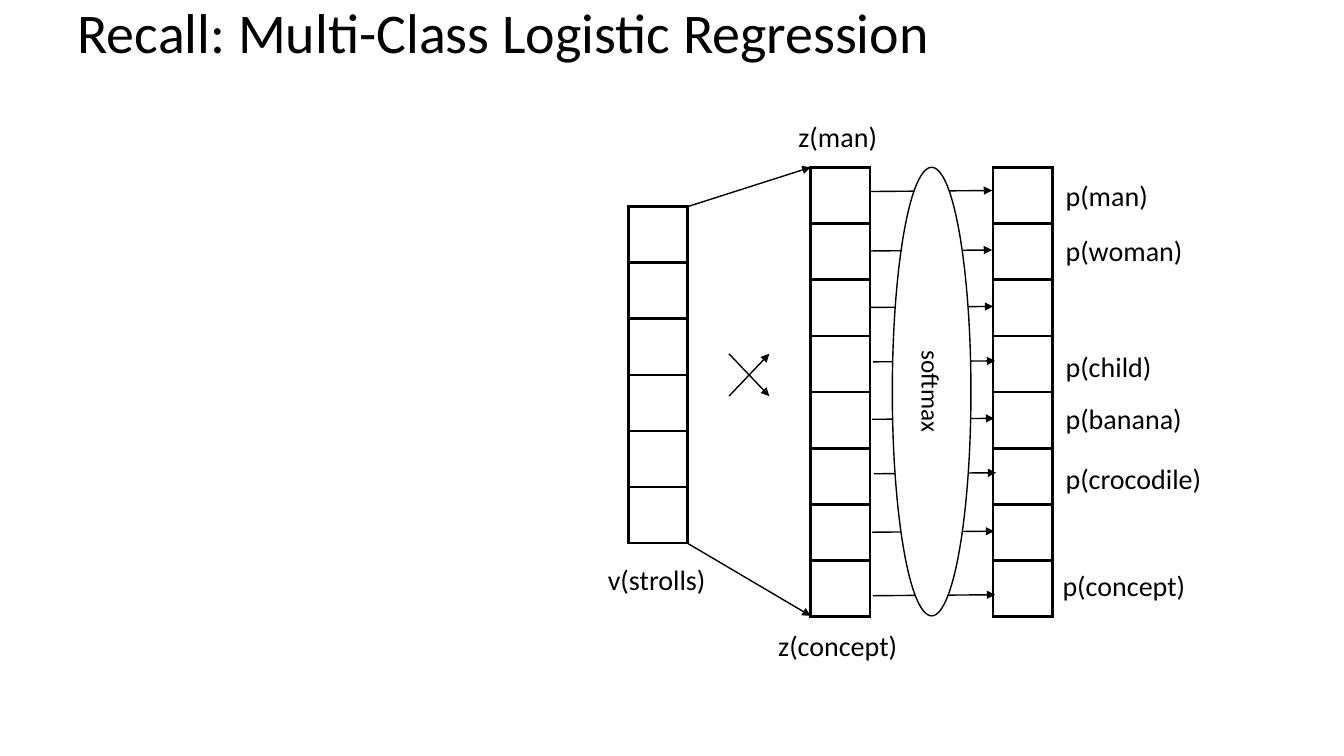
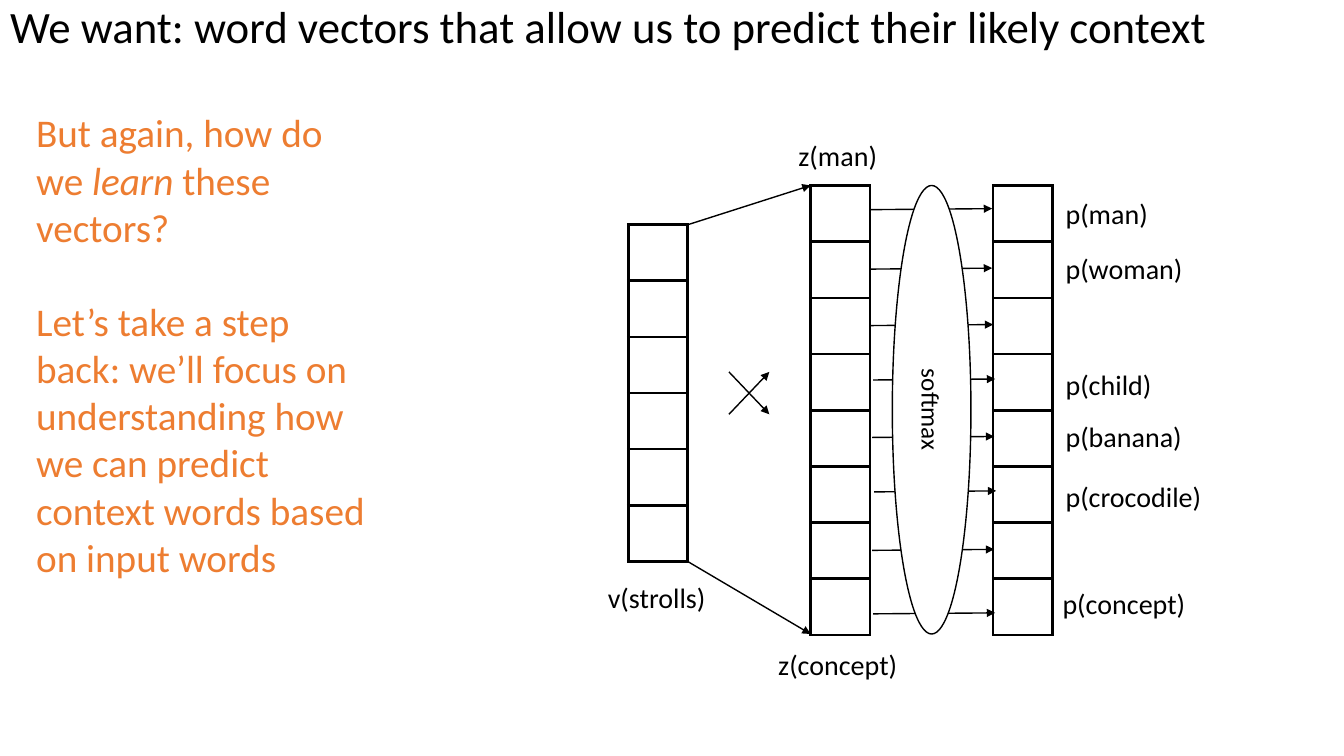
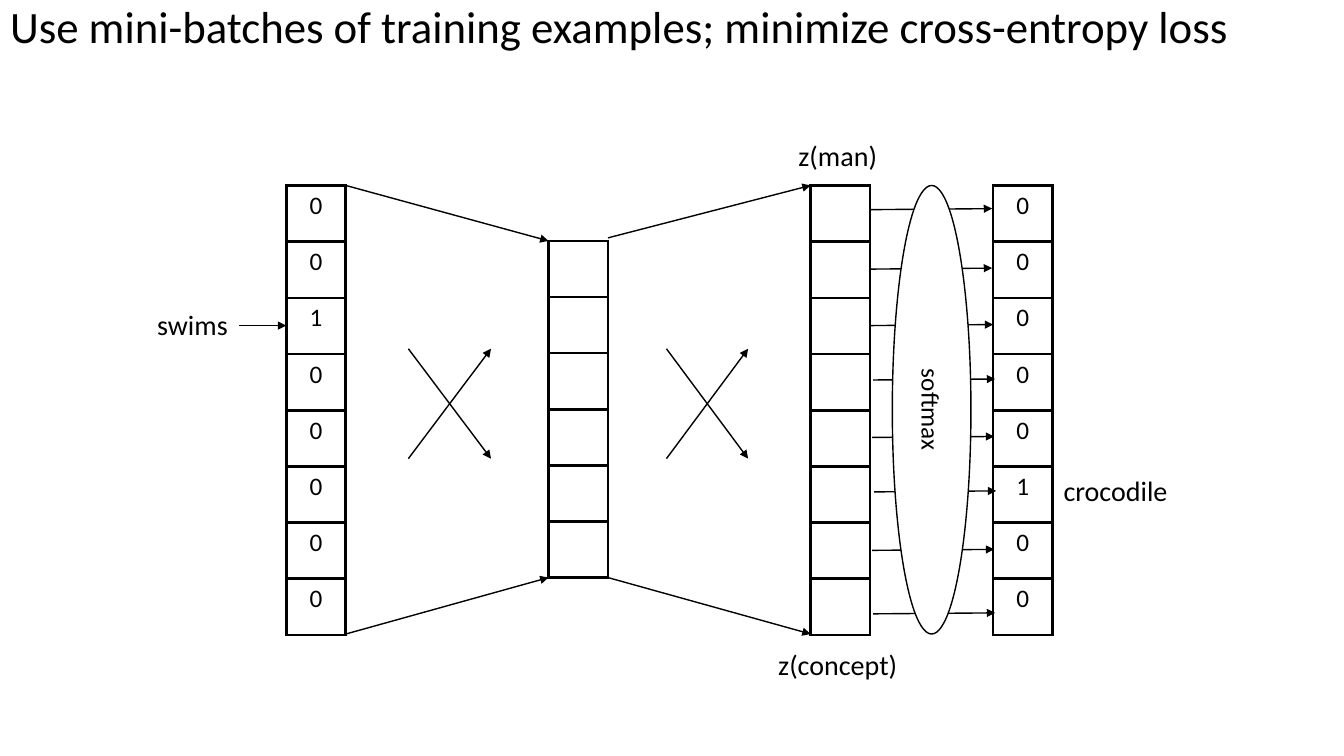
"""Build three slides on predicting context words with a softmax layer."""
import pptx
import pptx.dml.color
import pptx.enum.shapes
import pptx.enum.text
import pptx.oxml.ns
import pptx.util
from lxml import etree

SCALE = 9144
BLACK, WHITE, ORANGE = "000000", "FFFFFF", "ED7D31"
FONT = "Calibri"
ALIGN = pptx.enum.text.PP_ALIGN
ANCHOR = pptx.enum.text.MSO_ANCHOR
AUTO = pptx.enum.text.MSO_AUTO_SIZE

CELL_WIDTH, LABEL_HEIGHT = 59, 44
WORDS, DIMENSIONS = 8, 6
HEIGHTS = {WORDS: 446, DIMENSIONS: 334}
SCORE_LEFT, OUTPUT_LEFT = 804, 985
SOFTMAX_LEFT, SOFTMAX_WIDTH, SOFTMAX_HEIGHT = 885, 78, 445
SOFTMAX_ARROWS = [(863, 23), (863, 82), (864, 138), (866, 192),
                  (865, 249), (867, 303), (865, 361), (866, 424)]
ARROW_LENGTH, ARROW_RISE = 121, 1

SCORE_LABELS = [("z(man)", 782, -52, 99), ("z(concept)", 762, 453, 140)]
PROBABILITY_LABELS = [
    ("p(man)", 1047, 6, 103),
    ("p(woman)", 1047, 61, 137),
    ("p(child)", 1047, 176, 106),
    ("p(banana)", 1047, 227, 137),
    ("p(crocodile)", 1047, 287, 156),
    ("p(concept)", 1044, 393, 143),
]

LOGISTIC = {
    "labels": PROBABILITY_LABELS + [("v(strolls)", 593, 387, 118)],
    "vectors": [(623, 39, DIMENSIONS, "")],
    "output": "",
    "fans": [((682, 39, 373), (804, 0, 445))],
    "crosses": [(723, 185, 40, 42)],
    "arrows": [],
}
TRAINING = {
    "labels": [("crocodile", 1045, 281, 124), ("swims", 146, 116, 91)],
    "vectors": [(544, 55, DIMENSIONS, ""), (284, 0, WORDS, "00100000")],
    "output": "00000100",
    "fans": [((343, 0, 445), (544, 55, 389)), ((603, 52, 389), (804, 0, 445))],
    "crosses": [(405, 162, 82, 109), (661, 162, 81, 109)],
    "arrows": [(237, 139, 284, 139)],
}
SLIDES = [
    {"title": "Recall: Multi-Class Logistic Regression",
     "title_box": (67, 0, 1200, 100), "title_size": 40,
     "top": 166, "network": LOGISTIC, "remarks": []},
    {"title": "We want: word vectors that allow us to predict their likely context",
     "title_box": (0, 0, 1333, 100), "title_size": 32,
     "top": 184, "network": LOGISTIC,
     "remarks": [
         [("But again, how do we ", False), ("learn", True), (" these vectors?", False)],
         [("Let’s take a step back: we’ll focus on understanding how we can "
           "predict context words based on input words", False)]]},
    {"title": "Use mini-batches of training examples; minimize cross-entropy loss",
     "title_box": (0, 0, 1333, 100), "title_size": 32,
     "top": 184, "network": TRAINING, "remarks": []},
]
REMARKS_BOX, REMARKS_SIZE, REMARKS_GAP = (26, 103, 351, 481), 28, 34


def px(*lengths):
    return [pptx.util.Emu(length * SCALE) for length in lengths]


def rgb(color):
    return pptx.dml.color.RGBColor.from_string(color)


def apply(target, values):
    for name, value in values.items():
        setattr(target, name, value)


def add_xml(parent, tag, **attributes):
    return etree.SubElement(parent, pptx.oxml.ns.qn(tag), attributes)


def write(paragraph, text, size, color=BLACK, italic=False):
    run = paragraph.add_run()
    run.text = text
    apply(run.font, {"name": FONT, "size": pptx.util.Pt(size), "italic": italic})
    run.font.color.rgb = rgb(color)


def outline(line):
    line.width = pptx.util.Pt(1)
    line.color.rgb = rgb(BLACK)


def add_title(slide, text, box, size):
    title = slide.shapes.title
    apply(title, dict(zip(("left", "top", "width", "height"), px(*box))))
    apply(title.text_frame, {"vertical_anchor": ANCHOR.TOP, "word_wrap": True,
                             "auto_size": AUTO.NONE})
    paragraph = title.text_frame.paragraphs[0]
    apply(paragraph, {"alignment": ALIGN.LEFT, "line_spacing": 0.9})
    write(paragraph, text, size)


def add_label(slide, text, left, top, width):
    frame = slide.shapes.add_textbox(*px(left, top, width, LABEL_HEIGHT)).text_frame
    apply(frame, {"word_wrap": False, "auto_size": AUTO.SHAPE_TO_FIT_TEXT})
    write(frame.paragraphs[0], text, 20)


def add_borders(cell):
    properties = cell._tc.get_or_add_tcPr()
    for side in ("a:lnL", "a:lnR", "a:lnT", "a:lnB"):
        border = add_xml(properties, side, w=str(pptx.util.Pt(2.25)))
        add_xml(add_xml(border, "a:solidFill"), "a:srgbClr", val=BLACK)


def add_vector(slide, left, top, count, digits):
    height = HEIGHTS[count]
    table = slide.shapes.add_table(count, 1, *px(left, top, CELL_WIDTH, height)).table
    apply(table, {"first_row": False, "horz_banding": False})
    for index, row in enumerate(table.rows):
        row.height = height * SCALE // count
        cell = row.cells[0]
        add_borders(cell)
        cell.fill.background()
        if digits:
            paragraph = cell.text_frame.paragraphs[0]
            paragraph.alignment = ALIGN.CENTER
            write(paragraph, digits[index], 18)


def add_arrow(slide, *ends):
    straight = pptx.enum.shapes.MSO_CONNECTOR.STRAIGHT
    arrow = slide.shapes.add_connector(straight, *px(*ends))
    outline(arrow.line)
    add_xml(arrow.line._get_or_add_ln(), "a:tailEnd", type="triangle")
    add_xml(arrow._element.spPr, "a:effectLst")


def add_softmax(slide, top):
    oval = pptx.enum.shapes.MSO_SHAPE.OVAL
    box = px(SOFTMAX_LEFT, top, SOFTMAX_WIDTH, SOFTMAX_HEIGHT)
    softmax = slide.shapes.add_shape(oval, *box)
    softmax.shadow.inherit = False
    softmax.fill.solid()
    softmax.fill.fore_color.rgb = rgb(WHITE)
    outline(softmax.line)
    frame = softmax.text_frame
    apply(frame, {"margin_left": 0, "margin_top": 0, "margin_right": 0,
                  "margin_bottom": 0, "vertical_anchor": ANCHOR.MIDDLE})
    frame._txBody.bodyPr.set("vert", "vert")
    frame.paragraphs[0].alignment = ALIGN.CENTER
    write(frame.paragraphs[0], "softmax", 18)


def network_arrows(network):
    for (x1, *starts), (x2, *ends) in network["fans"]:
        for y1, y2 in zip(starts, ends):
            yield x1, y1, x2, y2
    for left, top, width, height in network["crosses"]:
        yield left, top + height, left + width, top
        yield left, top, left + width, top + height
    for left, y in SOFTMAX_ARROWS:
        yield left, y + ARROW_RISE, left + ARROW_LENGTH, y
    yield from network["arrows"]


def add_network(slide, network, top):
    vectors = network["vectors"] + [(SCORE_LEFT, 0, WORDS, ""),
                                    (OUTPUT_LEFT, 0, WORDS, network["output"])]
    for left, offset, count, digits in vectors:
        add_vector(slide, left, top + offset, count, digits)
    for text, left, offset, width in SCORE_LABELS + network["labels"]:
        add_label(slide, text, left, top + offset, width)
    for x1, y1, x2, y2 in network_arrows(network):
        add_arrow(slide, x1, top + y1, x2, top + y2)
    add_softmax(slide, top)


def add_remarks(slide, remarks):
    frame = slide.shapes.add_textbox(*px(*REMARKS_BOX)).text_frame
    apply(frame, {"word_wrap": True, "auto_size": AUTO.SHAPE_TO_FIT_TEXT})
    for index, remark in enumerate(remarks):
        paragraph = frame.add_paragraph() if index else frame.paragraphs[0]
        paragraph.space_before = pptx.util.Pt(REMARKS_GAP if index else 0)
        for text, italic in remark:
            write(paragraph, text, REMARKS_SIZE, ORANGE, italic)


def main():
    deck = pptx.Presentation()
    apply(deck, dict(zip(("slide_width", "slide_height"), px(1333, 750))))
    for content in SLIDES:
        slide = deck.slides.add_slide(deck.slide_layouts[5])
        add_title(slide, content["title"], content["title_box"], content["title_size"])
        add_network(slide, content["network"], content["top"])
        if content["remarks"]:
            add_remarks(slide, content["remarks"])
    deck.save("out.pptx")


if __name__ == "__main__":
    main()
